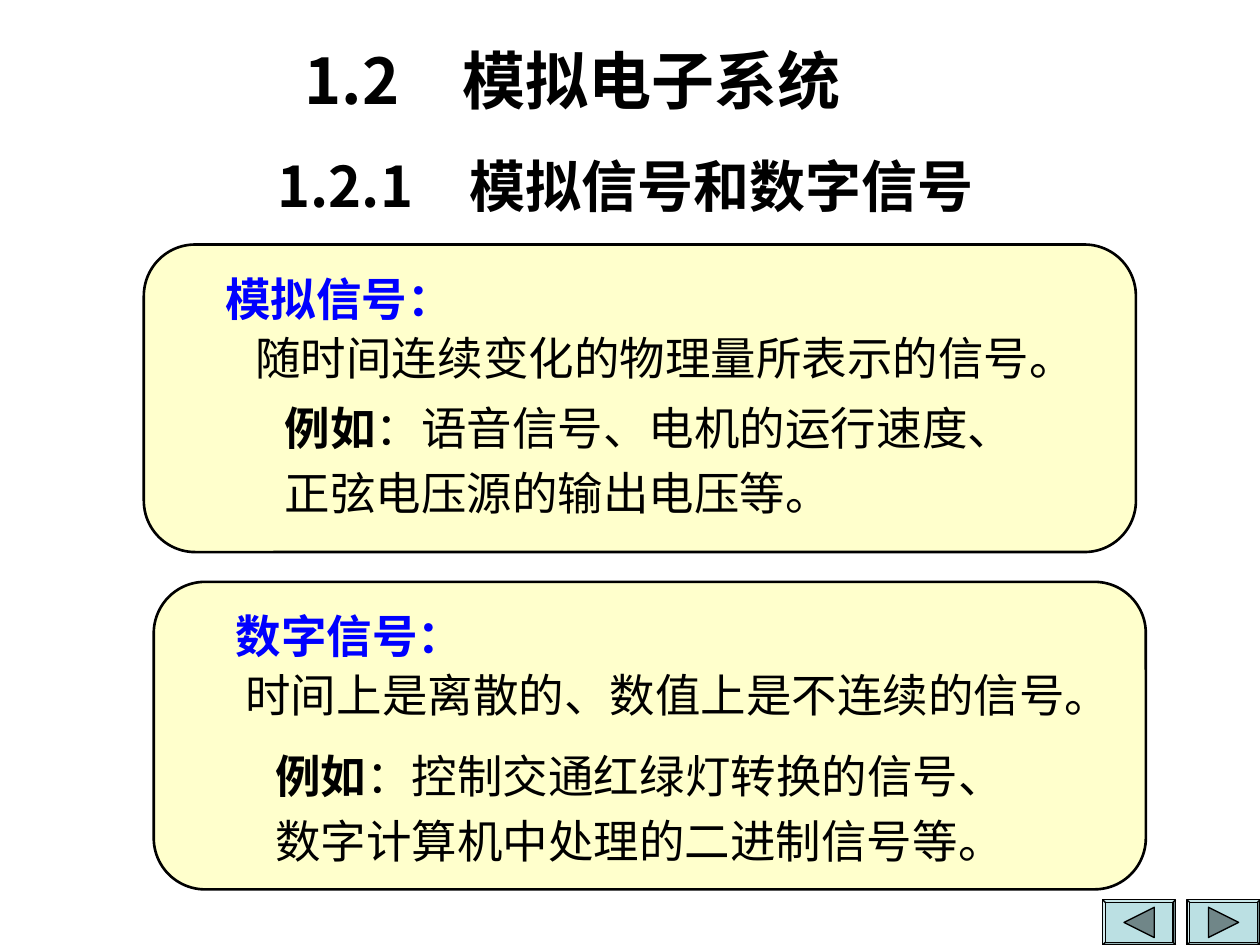
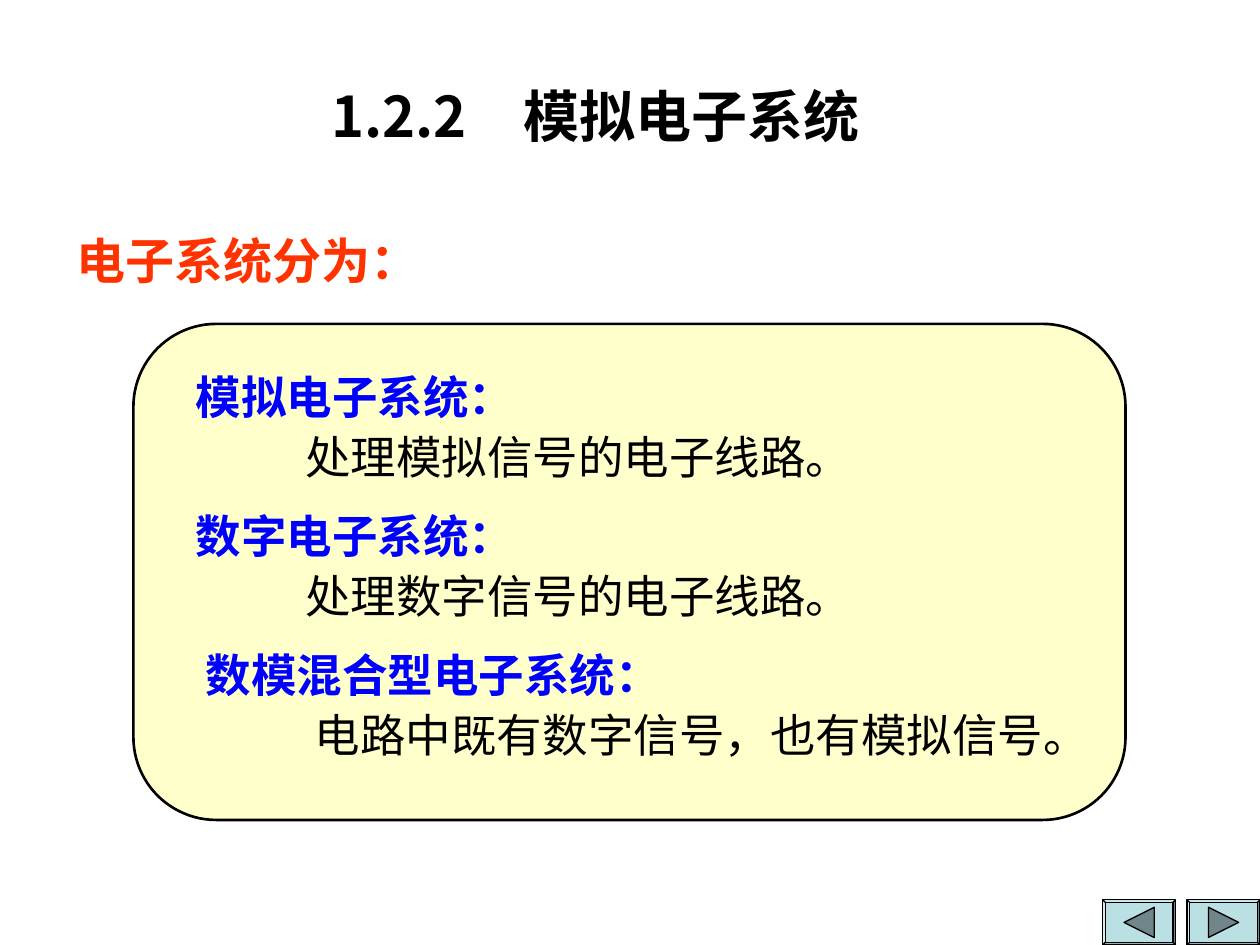
from pptx import Presentation
from pptx.dml.color import RGBColor as Rgb
from pptx.enum.lang import MSO_LANGUAGE_ID as Lang
from pptx.enum.shapes import MSO_SHAPE as Form
from pptx.enum.text import MSO_AUTO_SIZE as Fit, PP_ALIGN as Align
from pptx.util import Cm, Pt

HUES = {
    "ink": "000000",
    "term": "0000FF",
    "lead": "FF3300",
    "card": "FFFFCC",
    "key": "BBE0E3",
    "arrow": "708688",
}
SANS = "Noto Sans CJK SC"
SERIF = "Times New Roman"


def hue(name):
    """Return a palette colour."""
    return Rgb.from_string(HUES[name])


def form(shapes, kind, box, fill, width):
    """Add a filled and outlined preset shape."""
    shape = shapes.add_shape(kind, *map(Cm, box))
    shape.shadow.inherit = False
    shape.fill.solid()
    shape.fill.fore_color.rgb = hue(fill)
    shape.line.color.rgb = hue("ink")
    shape.line.width = Pt(width)
    return shape


def label(shapes, box, parts, size=26, face=SERIF, color="ink", before=0):
    """Add a text box from (text, bold) parts and return its paragraph."""
    shape = shapes.add_textbox(*map(Cm, box))
    frame = shape.text_frame
    frame.word_wrap = True
    frame.auto_size = Fit.SHAPE_TO_FIT_TEXT
    para = frame.paragraphs[0]
    para.space_before = Pt(before)
    for text, bold in parts:
        run = para.add_run()
        run.text = text
        font = run.font
        font.size, font.name, font.bold = Pt(size), face, bold
        font.color.rgb = hue(color)
        font.language_id = Lang.SIMPLIFIED_CHINESE
    return para


def title(slide, left, top, text):
    """Add a centred section title."""
    para = label(slide.shapes, (left, top, 18.21, 1.63), [(text, True)],
                 32, SANS, before=20)
    para.alignment = Align.CENTER


def card(slide, box):
    """Add a group with a rounded panel and return its shapes."""
    shapes = slide.shapes.add_group_shape().shapes
    panel = form(shapes, Form.ROUNDED_RECTANGLE, box, "card", 1.5)
    panel.adjustments[0] = 0.167
    return shapes


def entry(shapes, top, term, gloss):
    """Add a blue term with its gloss below; each is (left, width, text)."""
    left, width, text = term
    label(shapes, (left, top, width, 1.37), [(text, True)], color="term")
    left, width, text = gloss
    label(shapes, (left, top + 1.2, width, 1.37), [(text, False)])


def sample(shapes, left, top, text):
    """Add an example that starts with a bold word."""
    para = label(shapes, (left, top, 15.39, 2.9),
                 [("例如", True), ("：" + text, False)])
    para.line_spacing = 1.2


def keys(slide):
    """Add the back and forward buttons in the lower right corner."""
    for left, turn in ((22.23, 270), (23.93, 90)):
        box = (left, 18.14, 1.47, 0.91)
        key = form(slide.shapes, Form.BEVEL, box, "key", 0.75)
        key.adjustments[0] = 0.06
        box = (left + 0.43, 18.29, 0.61, 0.61)
        arrow = form(slide.shapes, Form.ISOSCELES_TRIANGLE, box, "arrow", 0.75)
        arrow.rotation = turn


def signals(slide):
    """Build the slide on analog and digital signals."""
    title(slide, 3.51, 2.92, "1.2.1\u3000模拟信号和数字信号".replace("\u3000", "　"))
    label(slide.shapes, (5.89, 0.71, 13, 1.78), [("1.2　模拟电子系统", True)],
          36, SANS, before=22.5)
    panel = card(slide, (2.9, 4.93, 20, 6.2))
    entry(panel, 5.33, (4.29, 12.6, "模拟信号："),
          (4.9, 17.4, "随时间连续变化的物理量所表示的信号。"))
    sample(panel, 5.49, 7.72, "语音信号、电机的运行速度、正弦电压源的输出电压等。")
    panel = card(slide, (3.1, 11.73, 20, 6.2))
    entry(panel, 12.13, (4.5, 12.6, "数字信号："),
          (4.7, 18.01, "时间上是离散的、数值上是不连续的信号。"))
    sample(panel, 5.3, 14.73, "控制交通红绿灯转换的信号、数字计算机中处理的二进制信号等。")


def systems(slide):
    """Build the slide on kinds of electronic systems."""
    title(slide, 2.9, 1.52, "1.2.2　模拟电子系统")
    label(slide.shapes, (1.3, 4.52, 14.4, 1.45), [("电子系统分为：", True)],
          28, color="lead", before=17.5)
    panel = card(slide, (2.69, 6.53, 20, 10))
    rows = [
        ((3.7, 7.6, "模拟电子系统："), (5.9, 13, "处理模拟信号的电子线路。")),
        ((3.7, 7.6, "数字电子系统："), (5.9, 13, "处理数字信号的电子线路。")),
        ((3.9, 13.4, "数模混合型电子系统："),
         (6.1, 16.4, "电路中既有数字信号，也有模拟信号。")),
    ]
    for i, (term, gloss) in enumerate(rows):
        entry(panel, 7.32 + 2.8 * i, term, gloss)


def main():
    """Build and save the deck."""
    deck = Presentation()
    deck.slide_width, deck.slide_height = Cm(25.4), Cm(19.05)
    for build in (signals, systems):
        slide = deck.slides.add_slide(deck.slide_layouts[6])
        build(slide)
        keys(slide)
    deck.save("out.pptx")


if __name__ == "__main__":
    main()
